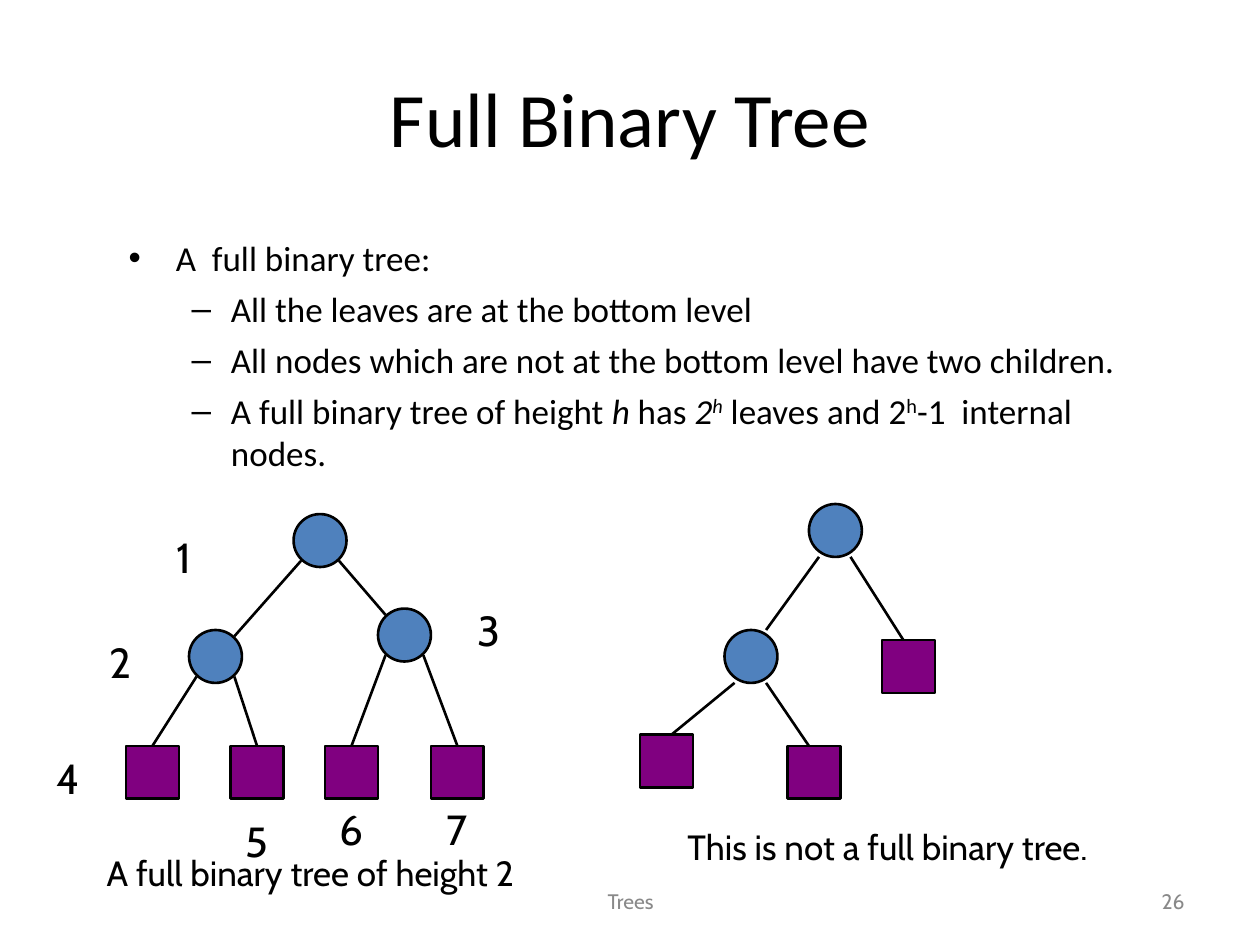
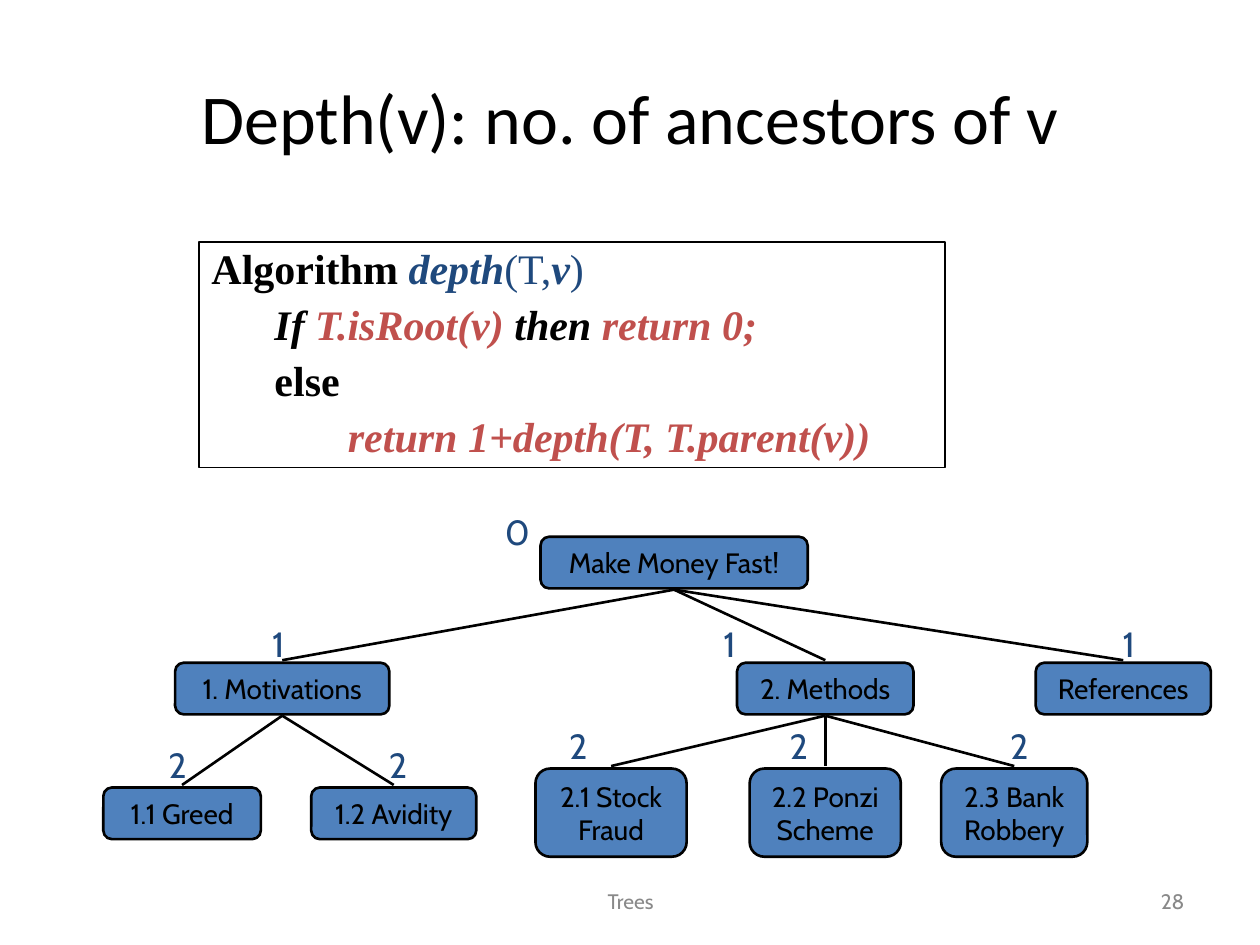
"""Build two slides on full binary trees and node depth."""
import dataclasses

import pptx
import pptx.dml.color
import pptx.enum.shapes
import pptx.enum.text
import pptx.oxml.ns
import pptx.util
from lxml import etree

Inches = pptx.util.Inches
Pt = pptx.util.Pt
Shape = pptx.enum.shapes.MSO_SHAPE
Align = pptx.enum.text.PP_ALIGN
Anchor = pptx.enum.text.MSO_ANCHOR
Fit = pptx.enum.text.MSO_AUTO_SIZE


@dataclasses.dataclass(frozen=True)
class Theme:
    ink: str = "000000"
    blue: str = "4F81BD"
    plum: str = "800080"
    navy: str = "1F497D"
    red: str = "C0504D"
    gray: str = "898989"
    head: str = "Calibri"
    text: str = "Cabin"
    code: str = "Times New Roman"
    list_size: int = 20
    code_size: int = 24
    key_size: int = 24
    note_size: int = 20
    node_size: int = 16
    foot_size: int = 12
    stroke: float = 1.5


theme = Theme()


def put(para, text, font, size, color, bold=False, italic=False, base=0):
    """Add one formatted run."""
    run = para.add_run()
    run.text = text
    run.font.name = font
    run.font.size = Pt(size)
    run.font.bold = bold
    run.font.italic = italic
    run.font.color.rgb = pptx.dml.color.RGBColor.from_string(color)
    if base:
        run.font._element.set("baseline", str(base * 1000))


def draw(slide, kind, left, top, width, height, fill=None, stroke=theme.stroke):
    """Add one outlined shape."""
    shape = slide.shapes.add_shape(
        kind, Inches(left), Inches(top), Inches(width), Inches(height))
    shape.shadow.inherit = False
    if fill:
        shape.fill.solid()
        shape.fill.fore_color.rgb = pptx.dml.color.RGBColor.from_string(fill)
    else:
        shape.fill.background()
    shape.line.color.rgb = pptx.dml.color.RGBColor.from_string(theme.ink)
    shape.line.width = Pt(stroke)
    return shape


deck = pptx.Presentation()
deck.slide_width = Inches(10)
deck.slide_height = Inches(7.5)
full = deck.slides.add_slide(deck.slide_layouts[1])
depth = deck.slides.add_slide(deck.slide_layouts[5])
wires = []
labels = []

for slide, title, size, number in [
    (full, "Full Binary Tree", 44, "26"),
    (depth, "Depth(v): no. of ancestors of v", 40, "28"),
]:
    head = slide.shapes.title
    head.left, head.top = Inches(0.5), Inches(0.3)
    head.width, head.height = Inches(9), Inches(1.25)
    head.text_frame.auto_size = Fit.NONE
    head.text_frame.vertical_anchor = Anchor.MIDDLE
    para = head.text_frame.paragraphs[0]
    para.alignment = Align.CENTER
    put(para, title, theme.head, size, theme.ink)
    for text, left, width, align in [
        ("Trees", 3.42, 3.17, Align.CENTER),
        (number, 7.17, 2.33, Align.RIGHT),
    ]:
        labels.append((slide, text, left, 6.95, width, 0.4,
                       theme.foot_size, theme.gray, align, Anchor.MIDDLE))

body = full.placeholders[1]
body.left, body.top = Inches(0.92), Inches(1.83)
body.width, body.height = Inches(8.42), Inches(2.83)
frame = body.text_frame
frame.auto_size = Fit.NONE
points = [
    [("A  full binary tree:",)],
    [("All the leaves are at the bottom level",)],
    [("All nodes which are not at the bottom level have two children.",)],
    [("A full binary tree of height ",), ("h", True), (" has ",), ("2", True),
     ("h", True, 30), (" leaves and 2",), ("h", False, 30),
     ("-1  internal nodes.",)],
]
for i, runs in enumerate(points):
    para = frame.add_paragraph() if i else frame.paragraphs[0]
    para.level = min(i, 1)
    para.space_before = Pt(5 if i else 0)
    for text, *style in runs:
        italic, base = (style + [False, 0][len(style):])
        put(para, text, theme.head, theme.list_size, theme.ink, False, italic, base)

side = 0.42
trees = [
    (0.37,
     {"1": (2.33, 4.08), "2": (1.5, 5), "3": (3, 4.83)},
     {"4": (1, 5.92), "5": (1.83, 5.92), "6": (2.58, 5.92), "7": (3.42, 5.92)},
     [("1", 0.06, "2", 0.36, 0.05), ("1", 0.36, "3", 0.06, 0.05),
      ("2", 0.06, "4", 0.21, 0), ("2", 0.36, "5", 0.21, 0),
      ("3", 0.06, "6", 0.21, 0), ("3", 0.36, "7", 0.21, 0)]),
    (side,
     {"top": (6.42, 4), "mid": (5.75, 5)},
     {"right": (7, 5.08), "low": (6.25, 5.92), "left": (5.08, 5.83)},
     [("top", 0.08, "mid", 0.33, 0), ("top", 0.33, "right", 0.17, 0),
      ("mid", 0.08, "left", 0.25, 0), ("mid", 0.33, "low", 0.17, 0)]),
]
for drop, inner, leaves, edges in trees:
    for kind, fill, group in [
        (Shape.OVAL, theme.blue, inner),
        (Shape.RECTANGLE, theme.plum, leaves),
    ]:
        for left, top in group.values():
            draw(full, kind, left, top, side, side, fill)
    spots = {**inner, **leaves}
    for parent, start, child, end, dip in edges:
        (x1, y1), (x2, y2) = spots[parent], spots[child]
        wires.append((full, x1 + start, y1 + drop, x2 + end, y2 + dip))

for text, left, top in [
    ("1", 1.25, 4.17), ("2", 0.75, 5), ("3", 3.67, 4.75), ("4", 0.33, 5.92),
    ("5", 1.83, 6.42), ("6", 2.58, 6.33), ("7", 3.42, 6.33),
]:
    labels.append((full, text, left, top, side, 0.5,
                   theme.key_size, theme.ink, Align.CENTER, Anchor.TOP))
for text, left, top, width in [
    ("A full binary tree of height 2", 0.55, 6.71, 3.83),
    ("This is not a full binary tree.", 4.92, 6.5, 4.25),
]:
    labels.append((full, text, left, top, width, 0.44,
                   theme.note_size, theme.ink, Align.CENTER, Anchor.TOP))

box = draw(depth, Shape.RECTANGLE, 1.58, 1.92, 5.92, 1.79, stroke=0.75)
frame = box.text_frame
frame.word_wrap = True
frame.vertical_anchor = Anchor.TOP
lines = [
    [("Algorithm ", theme.ink, True, False), ("depth", theme.navy, True, True),
     ("(T,", theme.navy, False, False), ("v", theme.navy, True, True),
     (")", theme.navy, False, False)],
    [("If", theme.ink, True, True), (" T.isRoot(v) ", theme.red, True, True),
     ("then", theme.ink, True, True), (" return 0;", theme.red, True, True)],
    [("else", theme.ink, True, False)],
    [("       return 1+depth(T, T.parent(v))", theme.red, True, True)],
]
for i, runs in enumerate(lines):
    para = frame.add_paragraph() if i else frame.paragraphs[0]
    para.alignment = Align.LEFT
    para.line_spacing = 0.9
    para.space_before = Pt(6 if i else 0)
    if i:
        para.level = 1
        para._p.get_or_add_pPr().set("marL", str(Inches(0.5)))
    for text, color, bold, italic in runs:
        put(para, text, theme.code, theme.code_size, color, bold, italic)

nodes = {
    "Make Money Fast!": (4.29, 4.26, 2.12, 0.41, None),
    "1. Motivations": (1.39, 5.26, 1.7, 0.41, "Make Money Fast!"),
    "2. Methods": (5.85, 5.26, 1.4, 0.41, "Make Money Fast!"),
    "References": (8.22, 5.26, 1.39, 0.41, "Make Money Fast!"),
    "1.1 Greed": (0.82, 6.25, 1.25, 0.41, "1. Motivations"),
    "1.2 Avidity": (2.47, 6.25, 1.31, 0.41, "1. Motivations"),
    "2.1 Stock\nFraud": (4.25, 6.1, 1.2, 0.7, "2. Methods"),
    "2.2 Ponzi\nScheme": (5.95, 6.1, 1.2, 0.7, "2. Methods"),
    "2.3 Bank\nRobbery": (7.47, 6.1, 1.16, 0.7, "2. Methods"),
}
for name, (left, top, width, height, parent) in nodes.items():
    node = draw(depth, Shape.ROUNDED_RECTANGLE, left, top, width, height, theme.blue)
    frame = node.text_frame
    frame.word_wrap = False
    frame.vertical_anchor = Anchor.MIDDLE
    para = frame.paragraphs[0]
    para.alignment = Align.CENTER
    for i, line in enumerate(name.split("\n")):
        if i:
            para.add_line_break()
        put(para, line, theme.text, theme.node_size, theme.ink)
    if parent:
        x, y, w, h, _ = nodes[parent]
        wires.append((depth, x + w / 2, y + h + 0.01, left + width / 2, top - 0.02))

for text, top, lefts in [
    ("0", 4, [3.91]), ("1", 4.89, [2.03, 5.61, 8.78]),
    ("2", 5.85, [1.23, 2.98]), ("2", 5.7, [4.41, 6.16, 7.91]),
]:
    for left in lefts:
        labels.append((depth, text, left, top, 0.36, 0.44,
                       theme.note_size, theme.navy, Align.CENTER, Anchor.TOP))

for slide, x1, y1, x2, y2 in wires:
    wire = slide.shapes.add_connector(
        pptx.enum.shapes.MSO_CONNECTOR.STRAIGHT,
        Inches(x1), Inches(y1), Inches(x2), Inches(y2))
    wire.line.color.rgb = pptx.dml.color.RGBColor.from_string(theme.ink)
    wire.line.width = Pt(theme.stroke)
    etree.SubElement(wire._element.spPr, pptx.oxml.ns.qn("a:effectLst"))

for slide, text, left, top, width, height, size, color, align, anchor in labels:
    label = slide.shapes.add_textbox(
        Inches(left), Inches(top), Inches(width), Inches(height))
    frame = label.text_frame
    frame.word_wrap = width > 1
    frame.vertical_anchor = anchor
    para = frame.paragraphs[0]
    para.alignment = align
    put(para, text, theme.text, size, color)

deck.save("out.pptx")
